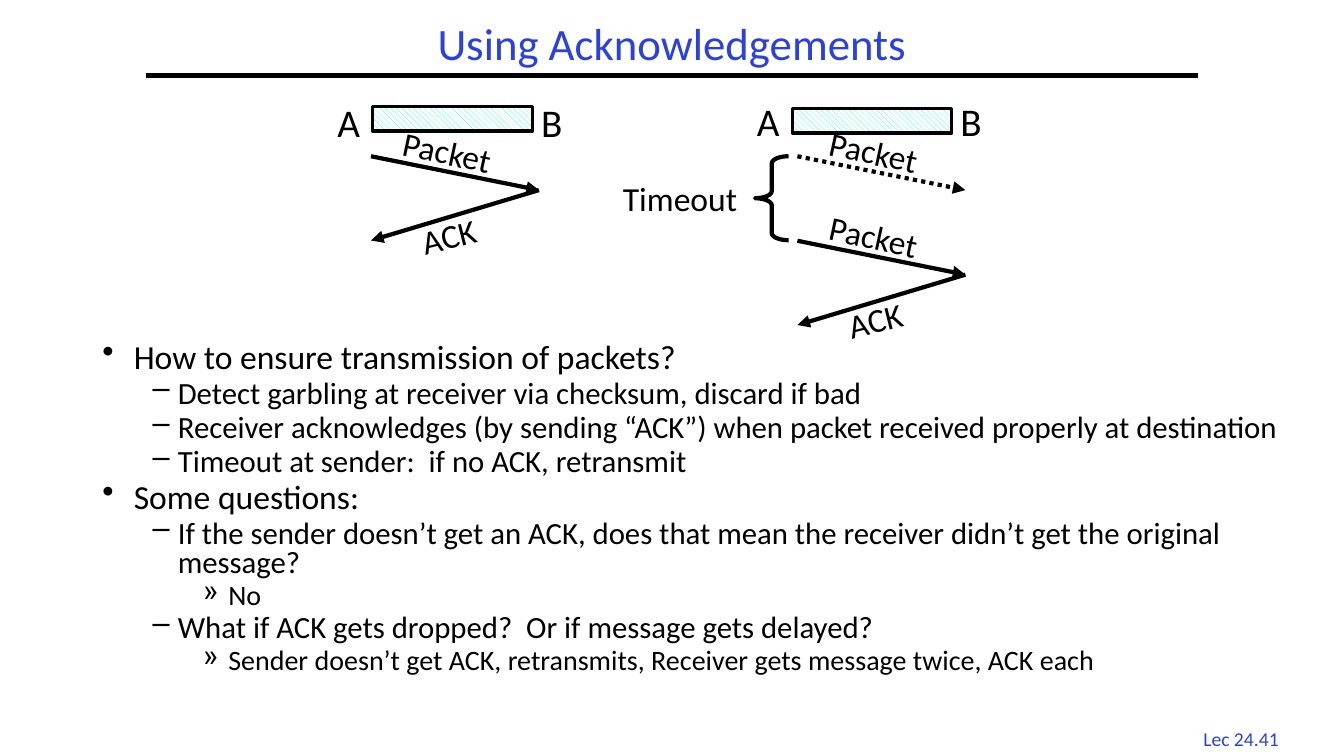
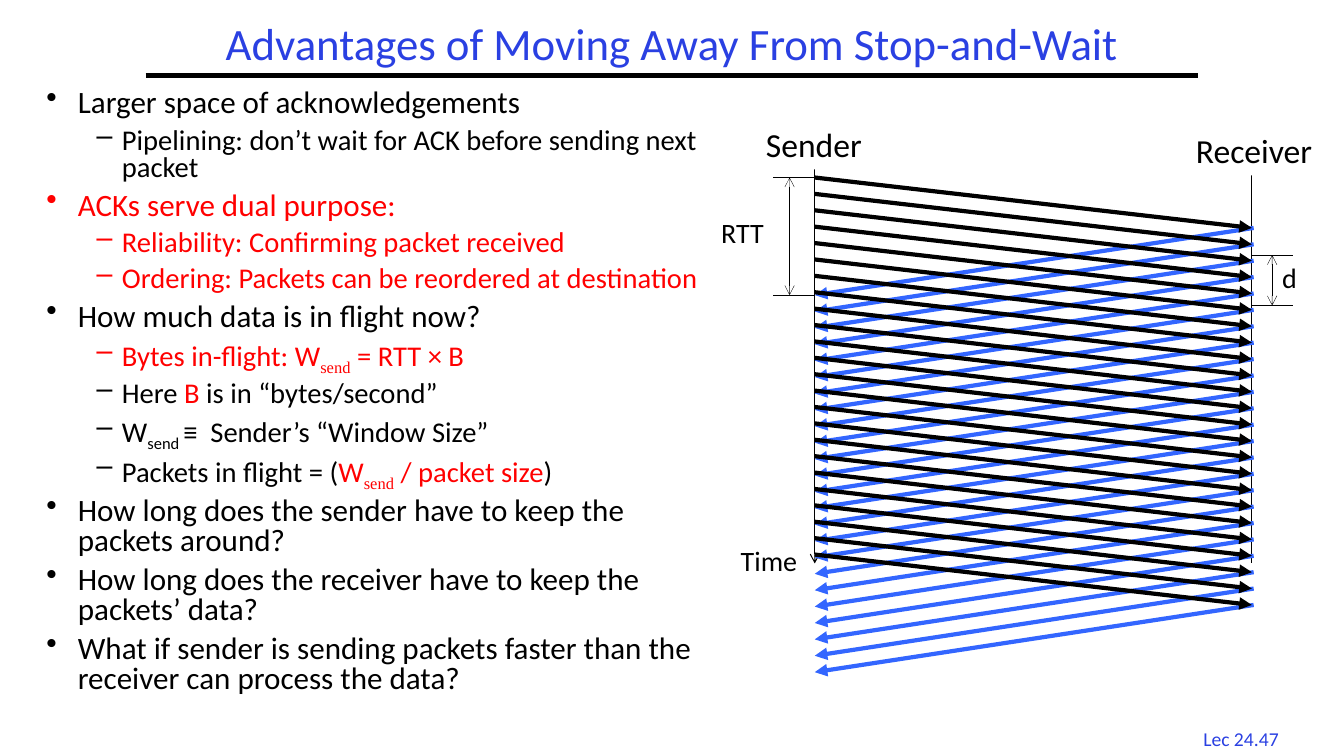
from pptx import Presentation
from pptx import util as u
from pptx.dml.color import RGBColor
from pptx.enum import dml, shapes, text
from pptx.oxml.ns import qn
from lxml import etree

BLACK, WHITE, BLUE, RED = "000000", "FFFFFF", "2A40E2", "FF0000"
CYAN, ACK_BLUE = "00FFFF", "3366FF"
FONT, SUB_FONT = "Calibri", "Times New Roman"
BULLETS = [("•", 22.5, -22.5), ("–", 54, -18), ("»", 90, -18)]


def paint(target, color):
    target.rgb = RGBColor.from_string(color)


def points(*values):
    return [u.Pt(value) for value in values]


def write(para, words, size=24, color=BLACK, font=FONT, lowered=False):
    span = para.add_run()
    span.text = words
    span.font.size = u.Pt(size)
    span.font.name = font
    paint(span.font.color, color)
    if lowered:
        span.font._element.set("baseline", "-25000")


def label(page, words, area, align=None, spacing=None, turn=0, fill=None,
          wrap=False, fit=True, anchor=text.MSO_ANCHOR.TOP, **style):
    box = page.shapes.add_textbox(*points(*area))
    box.rotation = turn
    if fill:
        box.fill.solid()
        paint(box.fill.fore_color, fill)
    frame = box.text_frame
    frame.word_wrap = wrap
    frame.vertical_anchor = anchor
    if fit:
        frame.auto_size = text.MSO_AUTO_SIZE.SHAPE_TO_FIT_TEXT
    para = frame.paragraphs[0]
    para.alignment = align
    para.line_spacing = spacing
    write(para, words, **style)


def line(page, start, end, width=3, color=BLACK, head=None, tail=None, dash=None):
    link = page.shapes.add_connector(
        shapes.MSO_CONNECTOR.STRAIGHT, *points(*start, *end))
    link.line.width = u.Pt(width)
    paint(link.line.color, color)
    if dash:
        link.line.dash_style = dash
    outline = link.line._get_or_add_ln()
    for tag, kind in (("a:headEnd", head), ("a:tailEnd", tail)):
        if kind:
            etree.SubElement(outline, qn(tag), type=kind)
    etree.SubElement(link._element.spPr, qn("a:effectLst"))


def outlined(page, kind, area, width):
    shape = page.shapes.add_shape(kind, *points(*area))
    shape.shadow.inherit = False
    shape.fill.background()
    shape.line.width = u.Pt(width)
    paint(shape.line.color, BLACK)
    return shape


def add_page(deck, title, number):
    page = deck.slides.add_slide(deck.slide_layouts[6])
    center = text.PP_ALIGN.CENTER
    label(page, f"Lec 24.{number}", (847.5, 515.5, 78, 24),
          align=center, size=14, color=BLUE)
    line(page, (104, 54), (856, 54))
    label(page, title, (104, 12, 752, 42), align=center, spacing=0.9, wrap=True,
          fit=False, anchor=text.MSO_ANCHOR.MIDDLE, size=32, color=BLUE)
    return page


def outline(page, area, items, sizes, gap):
    frame = page.shapes.add_textbox(*points(*area)).text_frame
    frame.word_wrap = True
    for index, (level, *spans) in enumerate(items):
        para = frame.add_paragraph() if index else frame.paragraphs[0]
        mark, margin, indent = BULLETS[level]
        size = sizes[level]
        para.level = level
        para.line_spacing = 0.8
        para.space_before = u.Pt(size * gap if index else 0)
        props = para._p.get_or_add_pPr()
        props.set("marL", str(u.Pt(margin)))
        props.set("indent", str(u.Pt(indent)))
        etree.SubElement(props, qn("a:buChar"), char=mark)
        for span in spans:
            words, style = (span, {}) if isinstance(span, str) else span
            write(para, words, size=size, **style)


def host_pair(page, left, bar_top, label_top):
    bar = outlined(page, shapes.MSO_SHAPE.RECTANGLE, (left, bar_top, 114, 17.3), 2.25)
    bar.fill.patterned()
    bar.fill.pattern = dml.MSO_PATTERN.WIDE_DOWNWARD_DIAGONAL
    paint(bar.fill.fore_color, CYAN)
    paint(bar.fill.back_color, WHITE)
    for name, shift in (("A", -32.4), ("B", 113)):
        label(page, name, (left + shift, label_top, 33, 41), size=28)


def send_packet(page, left, top, lost=False):
    arrival = (left + 120, top + 24.2)
    line(page, (left, top), arrival, tail="triangle",
         dash=dml.MSO_LINE.ROUND_DOT if lost else None)
    label(page, "Packet", (left + 15.5, top - 20.2, 88.5, 36), turn=12.3)
    if not lost:
        line(page, arrival, (left, top + 60.2), tail="triangle")
        label(page, "ACK", (left + 28.8, top + 37.2, 64, 36), turn=345.8)


def timeout_brace(page, left, top):
    brace = outlined(page, shapes.MSO_SHAPE.LEFT_BRACE, (left, top, 24, 60), 3)
    brace.adjustments[0] = 0.21
    label(page, "Timeout", (left - 101.5, top + 12.2, 101, 36))


def dimension(page, words, near, far, shaft, top, bottom, area):
    for level in (top, bottom):
        line(page, (near, level), (far, level), width=0.25)
    line(page, (shaft, top), (shaft, bottom), width=0.25, head="arrow", tail="arrow")
    label(page, words, area, wrap=True, size=20)


def pipeline(page, left, top):
    right, first = left + 312.2, top + 5.8
    travel, answer, pitch, count = 36, 48, 11.71, 24
    line(page, (left, top), (left, top + 281.5), width=0.75, tail="arrow")
    line(page, (right, top), (right, top + 281.5), width=0.75)
    label(page, "Time", (left - 60, top + 263.5, 59, 32), size=20)
    label(page, "Sender", (left - 42, top - 36, 93, 36), fill=WHITE)
    label(page, "Receiver", (right - 47, top - 31.7, 110, 36), fill=WHITE)
    dimension(page, "RTT", left, left - 30, left - 18, first,
              first + travel + answer, (left - 74, top + 29.5, 57, 32))
    dimension(page, "d", right - 0.5, right + 29.5, right + 14.5, top + 61.2,
              top + 97.2, (right + 14.5, top + 61.2, 57, 32))
    for index in range(count):
        sent = first + index * pitch
        received = sent + travel
        line(page, (right + 1.3, received), (left, received + answer),
             color=ACK_BLUE, tail="triangle")
        line(page, (left, sent), (right, received), tail="triangle")


def acknowledgements(deck):
    page = add_page(deck, "Using Acknowledgements", 41)
    outline(page, (66, 242, 858, 302), [
        (0, "How to ensure transmission of packets?"),
        (1, "Detect garbling at receiver via checksum, discard if bad"),
        (1, "Receiver acknowledges (by sending “ACK”) when packet received "
            "properly at destination"),
        (1, "Timeout at sender:  if no ACK, retransmit"),
        (0, "Some questions:"),
        (1, "If the sender doesn’t get an ACK, does that mean the receiver "
            "didn’t get the original message?"),
        (2, "No"),
        (1, "What if ACK gets dropped?  Or if message gets delayed?"),
        (2, "Sender doesn’t get ACK, retransmits, Receiver gets message "
            "twice, ACK each"),
    ], (24, 22, 20), 0.15)
    host_pair(page, 266.4, 76.3, 67)
    send_packet(page, 265, 111.6)
    host_pair(page, 566, 77.8, 66.2)
    send_packet(page, 569.6, 111.6, lost=True)
    send_packet(page, 569.6, 172)
    timeout_brace(page, 539.3, 111.6)


def moving_away(deck):
    page = add_page(deck, "Advantages of Moving Away From Stop-and-Wait", 47)
    red = {"color": RED}
    red_sub = {"color": RED, "font": SUB_FONT, "lowered": True}
    outline(page, (26, 60.5, 481.7, 456), [
        (0, "Larger space of acknowledgements"),
        (1, "Pipelining: don’t wait for ACK before sending next packet"),
        (0, ("ACKs serve dual purpose:", red)),
        (1, ("Reliability: Confirming packet received", red)),
        (1, ("Ordering: Packets can be reordered at destination", red)),
        (0, "How much data is in flight now?"),
        (1, ("Bytes in-flight: W", red), ("send", red_sub), (" = RTT × B", red)),
        (1, "Here ", ("B", red), " is in “bytes/second”"),
        (1, "W", ("send ", {"lowered": True}), "≡  Sender’s “Window Size”"),
        (1, "Packets in flight = (", ("W", red), ("send", red_sub),
            (" / packet size", red), ")"),
        (0, "How long does the sender have to keep the packets around?"),
        (0, "How long does the receiver have to keep the packets’ data?"),
        (0, "What if sender is sending packets faster than the receiver can "
            "process the data?"),
    ], (22.2, 20.4), 0.3)
    pipeline(page, 582, 121)


def main():
    deck = Presentation()
    deck.slide_width, deck.slide_height = points(960, 540)
    acknowledgements(deck)
    moving_away(deck)
    deck.save("out.pptx")


if __name__ == "__main__":
    main()
